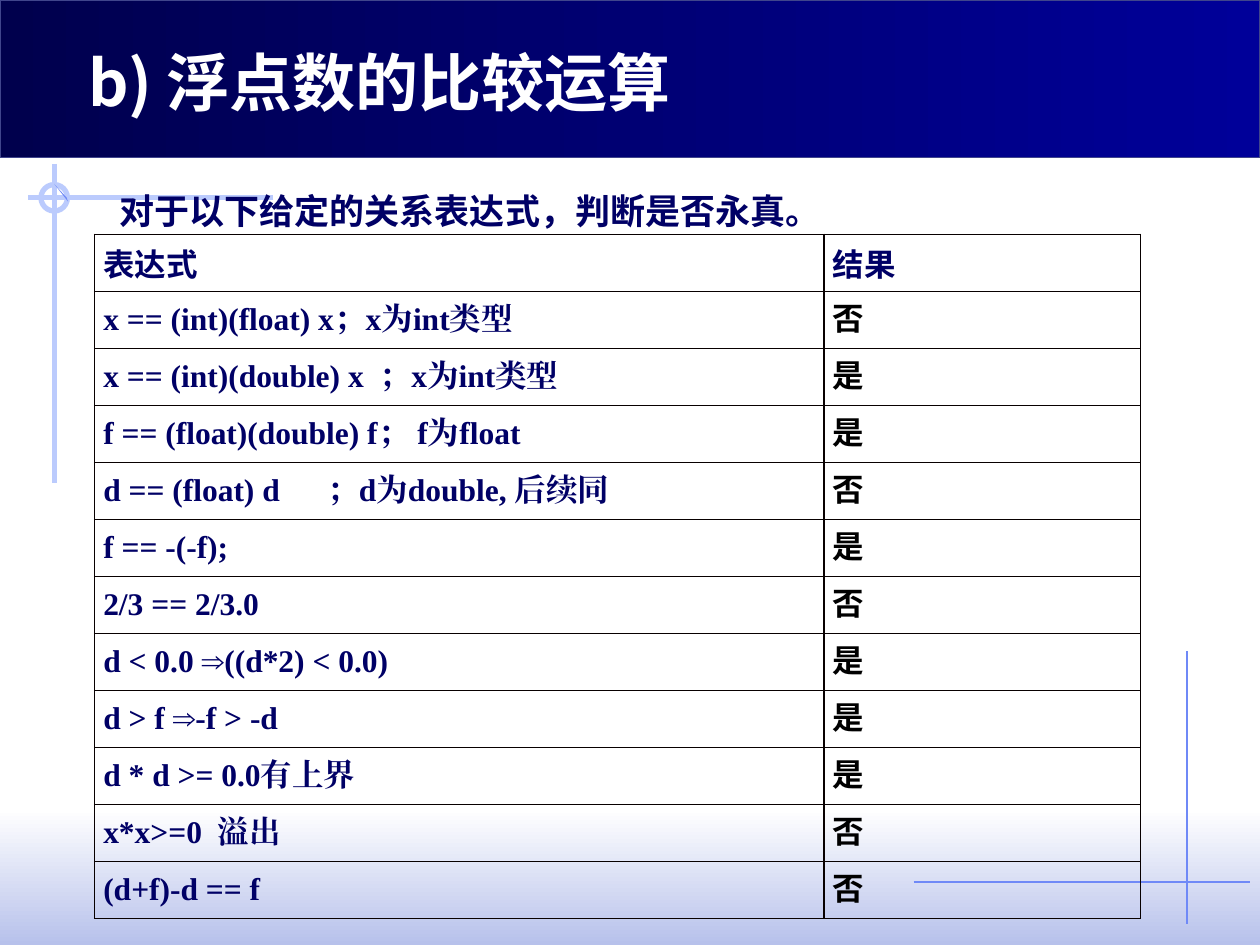
from lxml.etree import SubElement
from pptx import Presentation
from pptx.dml.color import RGBColor
from pptx.enum.shapes import MSO_CONNECTOR, MSO_SHAPE
from pptx.enum.text import MSO_ANCHOR, PP_ALIGN
from pptx.oxml.ns import qn
from pptx.util import Inches, Pt

WHITE = RGBColor(0xFF, 0xFF, 0xFF)
BLACK = RGBColor(0, 0, 0)
NAVY = RGBColor(0, 0, 0x66)
DEEP = RGBColor(0, 0, 0x4D)
ROYAL = RGBColor(0, 0, 0x99)
EDGE = RGBColor(0x40, 0x45, 0x8C)
HAZE = RGBColor(0xB7, 0xC1, 0xEB)
PALE = RGBColor(0xBB, 0xCB, 0xFD)
BLUE = RGBColor(0x6F, 0x89, 0xF7)
GRID = RGBColor(0x08, 0, 0)

SANS = "Noto Sans CJK SC"
SERIF = "Times New Roman"
MONO = "DejaVu Sans Mono"

HEAD = ("表达式", "结果")
ROWS = [
    ("x == (int)(float) x；x为int类型", "否"),
    ("x == (int)(double) x  ；x为int类型", "是"),
    ("f == (float)(double) f； f为float", "是"),
    ("d == (float) d      ；d为double, 后续同", "否"),
    ("f == -(-f);", "是"),
    ("2/3 == 2/3.0", "否"),
    ("d < 0.0 ⇒((d*2) < 0.0)", "是"),
    ("d > f ⇒-f > -d", "是"),
    ("d * d >= 0.0有上界", "是"),
    ("x*x>=0  溢出", "否"),
    ("(d+f)-d == f", "否"),
]


def add_run(para, text, size, font, color):
    """Add one bold run, with the same font for Latin and Chinese."""
    run = para.add_run()
    run.text = text
    run.font.size = Pt(size)
    run.font.bold = True
    run.font.color.rgb = color
    run.font.name = font
    SubElement(run.font._element, qn("a:ea"), typeface=font)


def add_band(slide, box, first, last, angle):
    """Add a rectangle with a two-colour gradient and no line."""
    band = slide.shapes.add_shape(MSO_SHAPE.RECTANGLE, *map(Inches, box))
    band.shadow.inherit = False
    band.fill.gradient()
    band.fill.gradient_angle = angle
    for stop, color in zip(band.fill.gradient_stops, (first, last)):
        stop.color.rgb = color
    band.line.fill.background()
    return band


def add_rule(slide, ends, color, width):
    """Add a straight line between two points."""
    rule = slide.shapes.add_connector(MSO_CONNECTOR.STRAIGHT, *map(Inches, ends))
    rule.line.color.rgb = color
    rule.line.width = Pt(width)
    SubElement(rule._element.spPr, qn("a:effectLst"))


def add_cross(slide, x, y):
    """Draw the ringed cross centred on a point."""
    add_rule(slide, (x + 1.74, y, x - 0.21, y), PALE, 3)
    add_rule(slide, (x, y - 0.27, x, y + 2.26), PALE, 3)
    size = 0.21
    box = (x - size / 2, y - size / 2, size, size)
    ring = slide.shapes.add_shape(MSO_SHAPE.OVAL, *map(Inches, box))
    ring.shadow.inherit = False
    ring.fill.background()
    ring.line.color.rgb = PALE
    ring.line.width = Pt(3)
    pen = slide.shapes.build_freeform(Inches(x + 0.1), Inches(y))
    pen.add_line_segments([(Inches(x + 0.11), Inches(y + 0.03)),
                           (Inches(x), Inches(y - 0.11))])
    chip = pen.convert_to_shape()
    chip.shadow.inherit = False
    chip.fill.solid()
    chip.fill.fore_color.rgb = BLUE
    chip.line.fill.background()


def add_decor(slide, wide, high):
    """Draw the bottom haze and the two crosses."""
    add_band(slide, (0, high - 1.08, wide, 1.08), WHITE, HAZE, 270)
    add_rule(slide, (9.42, 5.17, 9.42, 7.33), BLUE, 0.75)
    add_rule(slide, (7.25, 7, 9.92, 7), BLUE, 0.75)
    add_cross(slide, 0.43, 1.57)


def add_title(slide, box):
    """Draw the title bar and set the title on top of it."""
    bar = add_band(slide, box, DEEP, ROYAL, 0)
    bar.line.color.rgb = EDGE
    bar.line.width = Pt(0.75)
    title = slide.shapes.title
    left, top, _, _ = box
    title.left, title.top = Inches(left + 0.6), Inches(top + 0.29)
    title.width, title.height = Inches(8.12), Inches(0.71)
    frame = title.text_frame
    frame.vertical_anchor = MSO_ANCHOR.MIDDLE
    para = frame.paragraphs[0]
    para.alignment = PP_ALIGN.LEFT
    add_run(para, "b) 浮点数的比较运算", 36, "Noto Sans CJK JP", WHITE)
    slide.shapes._spTree.append(title._element)


def add_lead(slide, box):
    """Add the question above the table."""
    frame = slide.shapes.add_textbox(*map(Inches, box)).text_frame
    frame.word_wrap = True
    para = frame.paragraphs[0]
    para.line_spacing = 1.2
    add_run(para, "对于以下给定的关系表达式，判断是否永真。", 20, SANS, NAVY)


def add_borders(cell):
    """Draw a thin line on every side of a cell."""
    props = cell._tc.get_or_add_tcPr()
    for side in ("lnL", "lnR", "lnT", "lnB"):
        line = SubElement(props, qn(f"a:{side}"), w=str(Pt(1)))
        fill = SubElement(line, qn("a:solidFill"))
        SubElement(fill, qn("a:srgbClr"), val=str(GRID))


def set_cell(cell, text, font, color):
    """Fill in and format one table cell."""
    add_borders(cell)
    cell.fill.background()
    cell.vertical_anchor = MSO_ANCHOR.MIDDLE
    cell.margin_left = cell.margin_right = Inches(0.07)
    cell.margin_top = cell.margin_bottom = 0
    add_run(cell.text_frame.paragraphs[0], text, 18, font, color)


def add_grid(slide, box):
    """Add the table of expressions and results."""
    left, top, wide, high = map(Inches, box)
    count = len(ROWS) + 1
    grid = slide.shapes.add_table(count, 2, left, top, wide, high).table
    grid.first_row = grid.horz_banding = False
    grid.columns[0].width = Inches(5.79)
    grid.columns[1].width = wide - Inches(5.79)
    for row in grid.rows:
        row.height = high // count
    for col, text in enumerate(HEAD):
        set_cell(grid.cell(0, col), text, SANS, NAVY)
    for row, (rule, answer) in enumerate(ROWS, 1):
        set_cell(grid.cell(row, 0), rule, SERIF, NAVY)
        set_cell(grid.cell(row, 1), answer, MONO, BLACK)


def main():
    """Build the slide and save it."""
    deck = Presentation()
    deck.slide_width, deck.slide_height = Inches(10), Inches(7.5)
    slide = deck.slides.add_slide(deck.slide_layouts[5])
    add_decor(slide, 10, 7.5)
    add_title(slide, (0, 0, 10, 1.25))
    add_lead(slide, (0.85, 1.39, 8.86, 0.66))
    add_grid(slide, (0.75, 1.86, 8.3, 5.43))
    deck.save("out.pptx")


if __name__ == "__main__":
    main()
